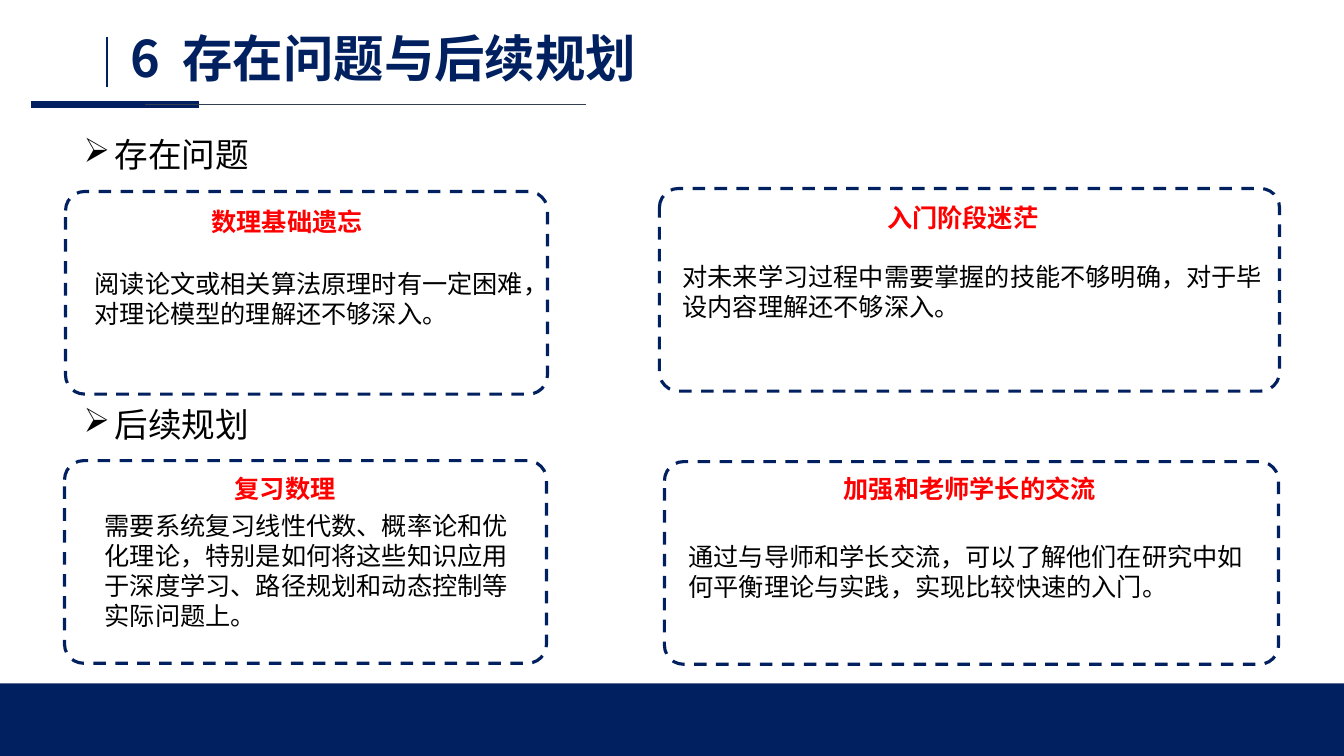
from dataclasses import dataclass

from lxml.etree import SubElement
from pptx import Presentation
from pptx.dml.color import RGBColor
from pptx.enum.dml import MSO_LINE_DASH_STYLE as Dash
from pptx.enum.shapes import MSO_CONNECTOR as Connector, MSO_SHAPE as Shape
from pptx.enum.text import MSO_ANCHOR as Anchor, MSO_AUTO_SIZE as AutoSize, PP_ALIGN as Align
from pptx.oxml.ns import qn
from pptx.util import Inches, Pt


@dataclass(frozen=True)
class Theme:
    font: str = "Noto Sans CJK SC"
    navy: RGBColor = RGBColor(0x00, 0x20, 0x60)
    slate: RGBColor = RGBColor(0x33, 0x3F, 0x50)
    red: RGBColor = RGBColor(0xFF, 0x00, 0x00)
    black: RGBColor = RGBColor(0x00, 0x00, 0x00)
    title_size: int = 36
    section_size: int = 24
    body_size: int = 18


@dataclass(frozen=True)
class Rule:
    start: tuple[float, float]
    end: tuple[float, float]
    color: RGBColor
    weight: float


@dataclass(frozen=True)
class Section:
    text: str
    top: float


@dataclass(frozen=True)
class Card:
    frame: tuple[float, float, float]
    heading: str
    heading_at: tuple[float, float, float]
    body: str
    body_at: tuple[float, float, float, float]


THEME = Theme()
CARD_HEIGHT = 2.01
LINE_HEIGHT = 0.5

RULES = [
    Rule((0.31, 1.04), (1.97, 1.04), THEME.navy, 5),
    Rule((1.44, 1.04), (5.81, 1.04), THEME.slate, 0.5),
    Rule((1.06, 0.37), (1.06, 0.86), THEME.navy, 1.75),
]
SECTIONS = [Section("存在问题", 1.28), Section("后续规划", 3.96)]
CARDS = [
    Card((0.65, 1.9, 4.78), "数理基础遗忘", (2, 1.85, 3.43),
         "阅读论文或相关算法原理时有一定困难，对理论模型的理解还不够深入。",
         (0.84, 2.61, 4.59, 0.71)),
    Card((6.54, 1.87, 6.15), "入门阶段迷茫", (8.7, 1.81, 1.97),
         "对未来学习过程中需要掌握的技能不够明确，对于毕设内容理解还不够深入。",
         (6.67, 2.54, 6.04, 0.71)),
    Card((0.64, 4.57, 4.78), "复习数理", (2.23, 4.5, 2.76),
         "需要系统复习线性代数、概率论和优化理论，特别是如何将这些知识应用于深度学习、"
         "路径规划和动态控制等实际问题上。",
         (0.94, 5.01, 4.38, 1.31)),
    Card((6.59, 4.58, 6.09), "加强和老师学长的交流", (8.27, 4.5, 4.41),
         "通过与导师和学长交流，可以了解他们在研究中如何平衡理论与实践，实现比较快速的入门。",
         (6.73, 5.32, 5.83, 0.71)),
]


def write(box, text: str, *, size: int, color: RGBColor, bold: bool = False,
          spacing: float = 1, bullet: str = "", tracking: int = 0) -> None:
    frame = box.text_frame
    frame.word_wrap = True
    frame.auto_size = AutoSize.NONE
    frame.vertical_anchor = Anchor.TOP
    para = frame.paragraphs[0]
    para.alignment = Align.LEFT
    para.line_spacing = spacing
    if bullet:
        properties = para._p.get_or_add_pPr()
        properties.set("marL", str(Inches(0.31)))
        properties.set("indent", str(Inches(-0.31)))
        SubElement(properties, qn("a:buChar")).set("char", bullet)
    number, space, rest = text.partition(" ")
    parts = [(number + space, tracking), (rest, 0)] if space else [(text, 0)]
    for part, gap in parts:
        span = para.add_run()
        span.text = part
        span.font.name = THEME.font
        span.font.size = Pt(size)
        span.font.bold = bold
        span.font.color.rgb = color
        properties = span._r.get_or_add_rPr()
        SubElement(properties, qn("a:ea")).set("typeface", THEME.font)
        if gap:
            properties.set("spc", str(gap * 100))


def add_text(page, place: tuple[float, float, float, float], text: str, **style) -> None:
    write(page.shapes.add_textbox(*map(Inches, place)), text, **style)


def add_rule(page, rule: Rule) -> None:
    line = page.shapes.add_connector(Connector.STRAIGHT, *map(Inches, rule.start + rule.end))
    line.line.color.rgb = rule.color
    line.line.width = Pt(rule.weight)
    SubElement(line._element.spPr, qn("a:effectLst"))


def add_title(page, text: str) -> None:
    title = page.shapes.title
    title.left, title.top, title.width, title.height = map(Inches, (1.19, 0.22, 5.37, 0.71))
    write(title, text, size=THEME.title_size, color=THEME.navy, bold=True, tracking=4)


def add_footer(page) -> None:
    band = page.shapes.add_shape(Shape.RECTANGLE, *map(Inches, (0, 6.78, 13.33, 0.72)))
    band.shadow.inherit = False
    band.fill.solid()
    band.fill.fore_color.rgb = THEME.navy
    band.line.fill.background()


def add_section(page, section: Section) -> None:
    add_text(page, (0.73, section.top, 2.18, LINE_HEIGHT), section.text,
             size=THEME.section_size, color=THEME.black, bullet="➢")


def add_card(page, card: Card) -> None:
    add_text(page, (*card.heading_at, LINE_HEIGHT), card.heading,
             size=THEME.body_size, color=THEME.red, bold=True, spacing=1.5)
    add_text(page, card.body_at, card.body, size=THEME.body_size, color=THEME.black)
    frame = page.shapes.add_shape(Shape.ROUNDED_RECTANGLE, *map(Inches, (*card.frame, CARD_HEIGHT)))
    frame.adjustments[0] = 0.094
    frame.shadow.inherit = False
    frame.fill.background()
    frame.line.color.rgb = THEME.navy
    frame.line.width = Pt(2.25)
    frame.line.dash_style = Dash.DASH


def main() -> None:
    deck = Presentation()
    deck.slide_width, deck.slide_height = Inches(13.33), Inches(7.5)
    page = deck.slides.add_slide(deck.slide_layouts[5])
    for rule in RULES:
        add_rule(page, rule)
    add_title(page, "6 存在问题与后续规划")
    add_footer(page)
    for section in SECTIONS:
        add_section(page, section)
    for card in CARDS:
        add_card(page, card)
    deck.save("out.pptx")


if __name__ == "__main__":
    main()
